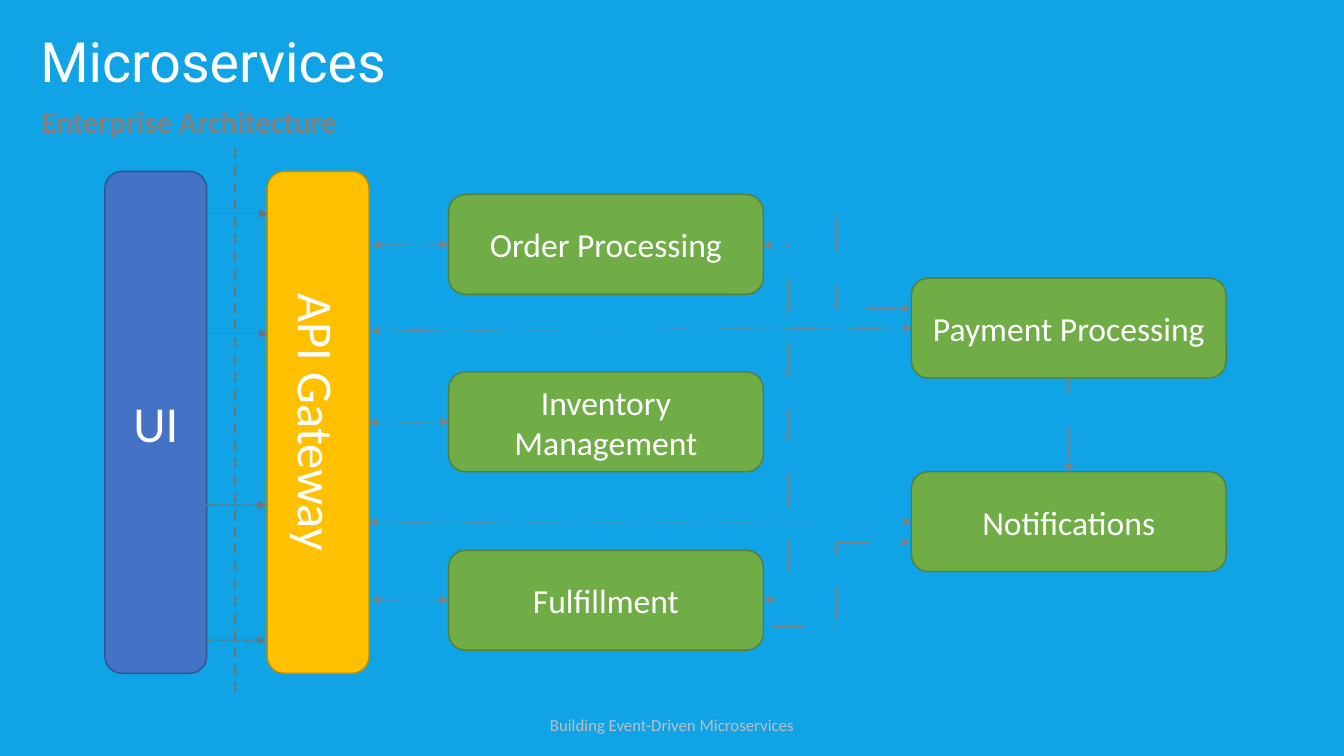
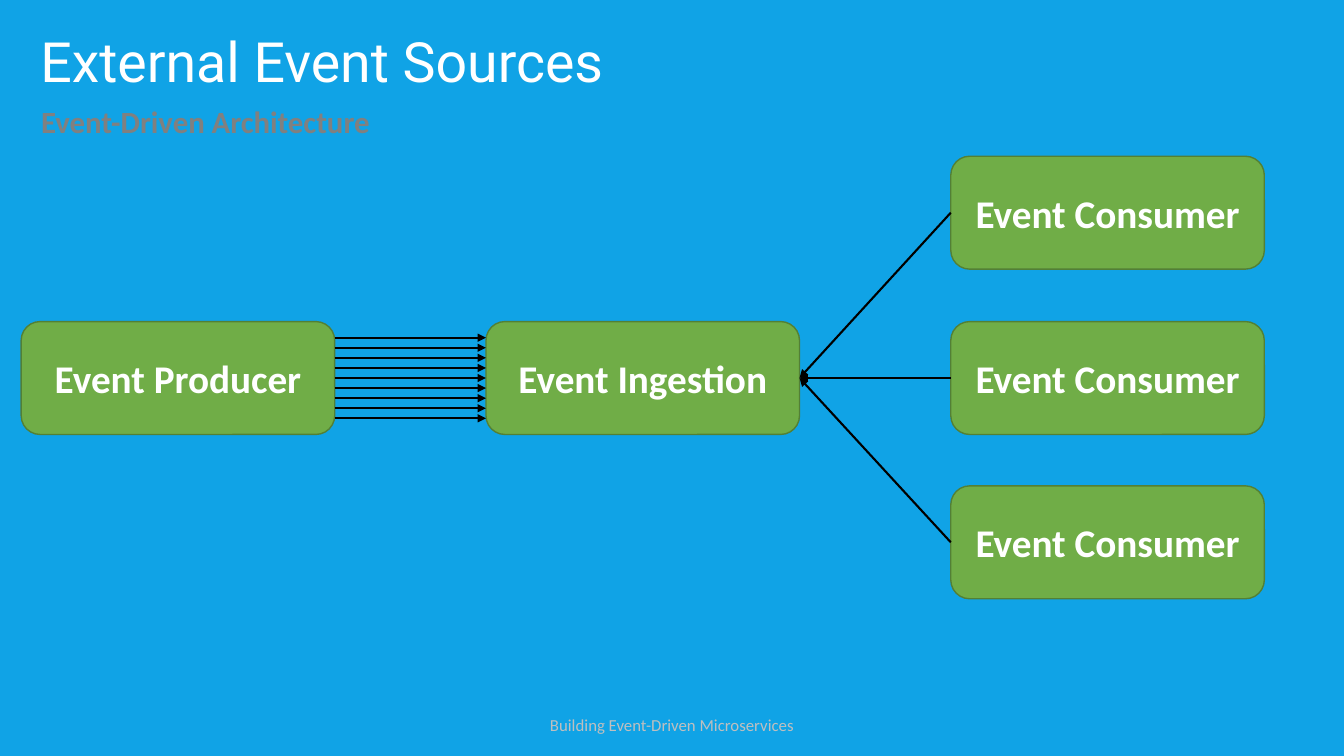
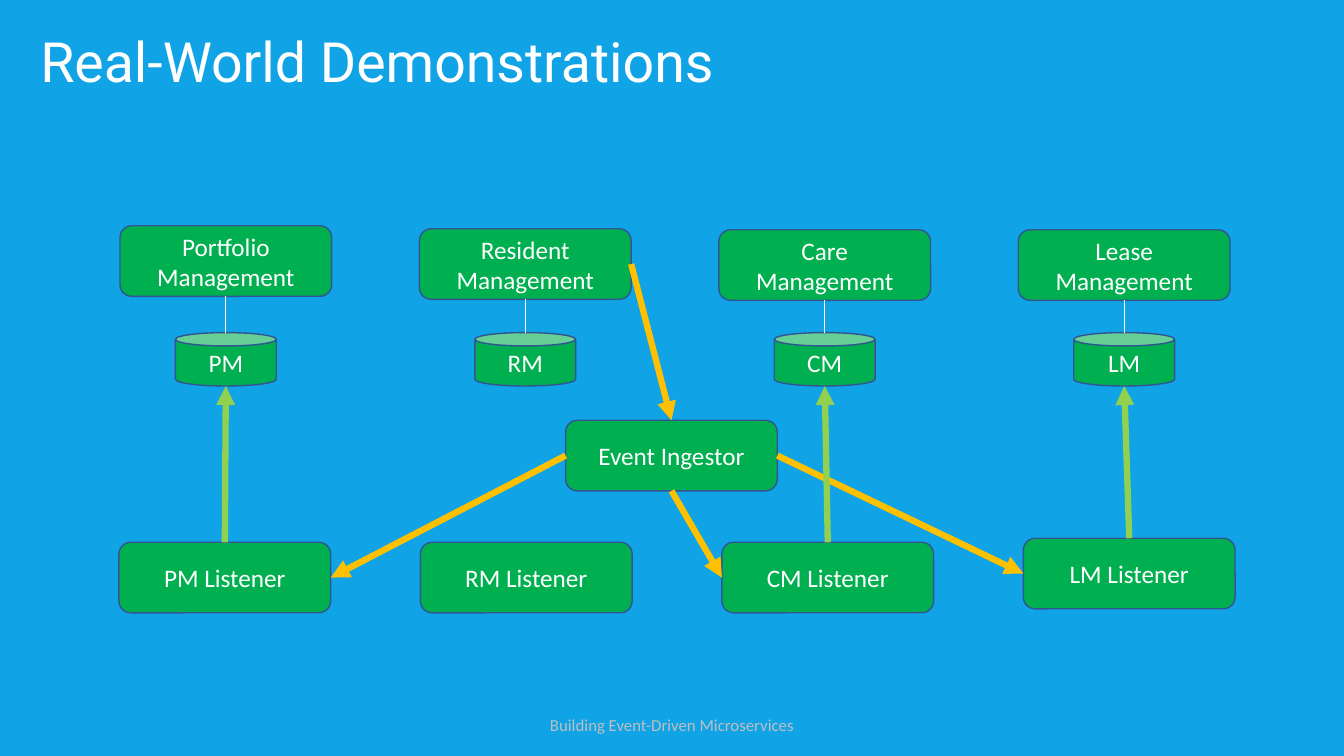
from lxml import etree
from pptx import Presentation
from pptx.dml.color import RGBColor
from pptx.enum import dml, shapes, text
from pptx.oxml import ns
from pptx.util import Inches, Pt

hue = RGBColor.from_string
BLUE, NAVY, GOLD, WHITE = "4472C4", "325491", "FFC000", "FFFFFF"
LEAF, MOSS, GREEN, LIME = "70AD47", "538035", "00B050", "92D050"
GRAY, SLATE = "808080", "767171"
ROUND, CAN = shapes.MSO_SHAPE.ROUNDED_RECTANGLE, shapes.MSO_SHAPE.CAN
DOT, DASH = dml.MSO_LINE.ROUND_DOT, dml.MSO_LINE.DASH
TOP, LEFT, BOTTOM, RIGHT = range(4)


def box(slide, label, area, size, fill, edge, bold=False, form=ROUND):
    node = slide.shapes.add_shape(form, *map(Inches, area))
    node.shadow.inherit = False
    node.fill.solid()
    node.fill.fore_color.rgb = hue(fill)
    node.line.color.rgb = hue(edge)
    node.line.width = Pt(1)
    para = node.text_frame.paragraphs[0]
    para.text = label
    para.alignment = text.PP_ALIGN.CENTER
    para.font.name, para.font.size, para.font.bold = "Calibri", Pt(size), bold
    para.font.color.rgb = hue(WHITE)
    return node


def link(slide, start, end, color, width, dash=None, ends=("tailEnd",), bend=None):
    kind = shapes.MSO_CONNECTOR.ELBOW if bend else shapes.MSO_CONNECTOR.STRAIGHT
    glue = [not isinstance(spot[0], (int, float)) for spot in (start, end)]
    spots = [(0, 0) if tied else spot for tied, spot in zip(glue, (start, end))]
    wire = slide.shapes.add_connector(kind, *(Inches(n) for spot in spots for n in spot))
    if glue[0]:
        wire.begin_connect(*start)
    if glue[1]:
        wire.end_connect(*end)
    wire.line.color.rgb = hue(color)
    wire.line.width = Pt(width)
    if dash:
        wire.line.dash_style = dash
    props = wire.element.spPr
    for tip in ends:
        etree.SubElement(props.find(ns.qn("a:ln")), ns.qn("a:" + tip), type="triangle")
    etree.SubElement(props, ns.qn("a:effectLst"))
    if bend:
        guides = props.find(ns.qn("a:prstGeom")).get_or_add_avLst()
        etree.SubElement(guides, ns.qn("a:gd"), name="adj1", fmla=f"val {bend}")


deck = Presentation()
deck.slide_width, deck.slide_height = Inches(13.33), Inches(7.5)
back = deck.slide_master.background.fill
back.solid()
back.fore_color.rgb = hue("10A3E6")
layout = deck.slide_layouts[5]

pages = []
for name, sub in [
    ("Microservices", "Enterprise Architecture"),
    ("External Event Sources", "Event-Driven Architecture"),
    ("Real-World Demonstrations", None),
]:
    page = deck.slides.add_slide(layout)
    pages.append(page)
    title = page.shapes.title
    title.left, title.top = Inches(0.3), Inches(0.27)
    title.width, title.height = Inches(12.71), Inches(0.74)
    parts = [(title, name, "Roboto", 39.6, WHITE, False, 0.9)]
    if sub:
        area = map(Inches, (0.31, 1.04, 12.72, 0.4))
        parts.append((page.shapes.add_textbox(*area), sub, "Calibri", 22, GRAY, True, 0.8))
    for item, words, face, size, color, bold, gap in parts:
        frame = item.text_frame
        frame.word_wrap = True
        frame.auto_size = text.MSO_AUTO_SIZE.NONE
        frame.vertical_anchor = text.MSO_ANCHOR.MIDDLE
        para = frame.paragraphs[0]
        para.text = words
        para.alignment = text.PP_ALIGN.LEFT
        para.line_spacing = gap
        para.font.name, para.font.size, para.font.bold = face, Pt(size), bold
        para.font.color.rgb = hue(color)

foot = pages[0].shapes.add_textbox(*map(Inches, (5.34, 7.04, 2.65, 0.3)))
foot.text_frame.word_wrap = False
foot.text_frame.auto_size = text.MSO_AUTO_SIZE.SHAPE_TO_FIT_TEXT
para = foot.text_frame.paragraphs[0]
para.text = "Building Event-Driven Microservices"
para.alignment = text.PP_ALIGN.CENTER
para.font.name, para.font.size = "Calibri", Pt(12)
para.font.color.rgb = hue("BFBFBF")
layout.shapes.element.append(foot.element)

micro, source, demo = pages

box(micro, "UI", (1.04, 1.7, 1.01, 4.98), 36, BLUE, NAVY)
gate = box(micro, "API Gateway", (2.65, 1.7, 1.01, 4.98), 36, GOLD, "BD8E00")
gate.element.txBody.bodyPr.set("vert", "vert")
link(micro, (2.33, 1.47), (2.33, 6.9), SLATE, 1.75, DASH, ())
order, stock, ship, pay, note = [
    box(micro, label, (x, y, 3.12, 0.99), 24, LEAF, MOSS)
    for label, x, y in [
        ("Order Processing", 4.45, 1.93),
        ("Inventory Management", 4.45, 3.69),
        ("Fulfillment", 4.45, 5.46),
        ("Payment Processing", 9.04, 2.76),
        ("Notifications", 9.04, 4.68),
    ]
]
for x, y in [(2.05, 2.12), (2.05, 3.31), (2.04, 5.01), (2.03, 6.35)]:
    link(micro, (x, y), (x + 0.6, y), SLATE, 1, DOT)
both = ("headEnd", "tailEnd")
for start, end in [
    ((3.69, 2.43), (order, LEFT)),
    ((gate, RIGHT), (stock, LEFT)),
    ((3.69, 5.95), (ship, LEFT)),
    ((3.68, 3.28), (pay, LEFT)),
    ((3.66, 5.18), (note, LEFT)),
]:
    link(micro, start, end, GRAY, 0.75, DOT, both)
link(micro, (7.57, 2.43), (7.58, 5.95), GRAY, 0.75, DOT, both, 2500000)
link(micro, (7.58, 2.12), (9.02, 3.06), GRAY, 0.75, DOT, bend=50000)
link(micro, (7.57, 6.22), (9.02, 5.38), GRAY, 0.75, DOT, bend=50000)
link(micro, (pay, BOTTOM), (note, TOP), GRAY, 0.75, DOT)

maker, intake, *users = [
    box(source, "Event " + label, (x, y, 3.11, 1.12), 28, LEAF, MOSS, True)
    for label, x, y in [
        ("Producer", 0.21, 3.19),
        ("Ingestion", 4.82, 3.19),
        ("Consumer", 9.43, 1.55),
        ("Consumer", 9.43, 3.19),
        ("Consumer", 9.43, 4.82),
    ]
]
link(source, (maker, RIGHT), (intake, LEFT), "000000", 1.5)
for step in range(1, 5):
    for y in (3.75 - step * 0.1, 3.75 + step * 0.1):
        link(source, (3.32, y), (4.82, y), "000000", 1.5)
for user in users:
    link(source, (user, LEFT), (intake, RIGHT), "000000", 1.5)

hub = box(demo, "Event Ingestor", (5.61, 4.17, 2.1, 0.7), 18, GREEN, NAVY)
apps, ears = [], []
for col, (area, code, high, low) in enumerate([
    ("Portfolio", "PM", 2.24, 5.38),
    ("Resident", "RM", 2.27, 5.38),
    ("Care", "CM", 2.28, 5.38),
    ("Lease", "LM", 2.28, 5.34),
]):
    x = 1.19 + col * 2.97
    app = box(demo, area + " Management", (x, high, 2.1, 0.7), 18, GREEN, NAVY)
    box(demo, code, (x + 0.55, 3.3, 1, 0.53), 18, GREEN, NAVY, form=CAN)
    link(demo, (app, BOTTOM), (x + 1.05, 3.3), WHITE, 0.5, ends=())
    ear = box(demo, code + " Listener", (1.18 + col * 2.99, low, 2.1, 0.7), 18, GREEN, NAVY)
    apps.append(app)
    ears.append(ear)
for start, end in [
    ((apps[1], RIGHT), (hub, TOP)),
    ((hub, LEFT), (ears[0], RIGHT)),
    ((hub, BOTTOM), (ears[2], LEFT)),
    ((hub, RIGHT), (ears[3], LEFT)),
]:
    link(demo, start, end, GOLD, 4.5)
for col in (0, 2, 3):
    link(demo, (ears[col], TOP), (2.24 + col * 2.97, 3.83), LIME, 4.5)

deck.save("out.pptx")
